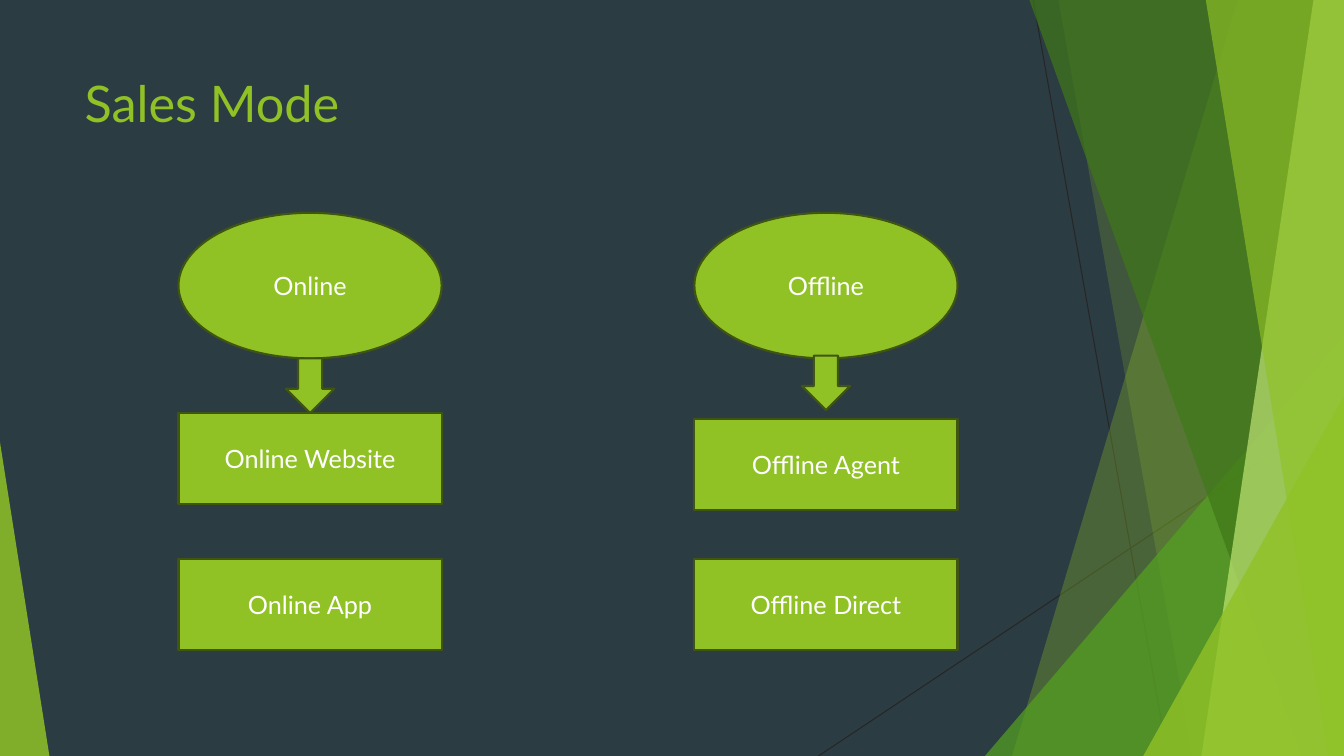
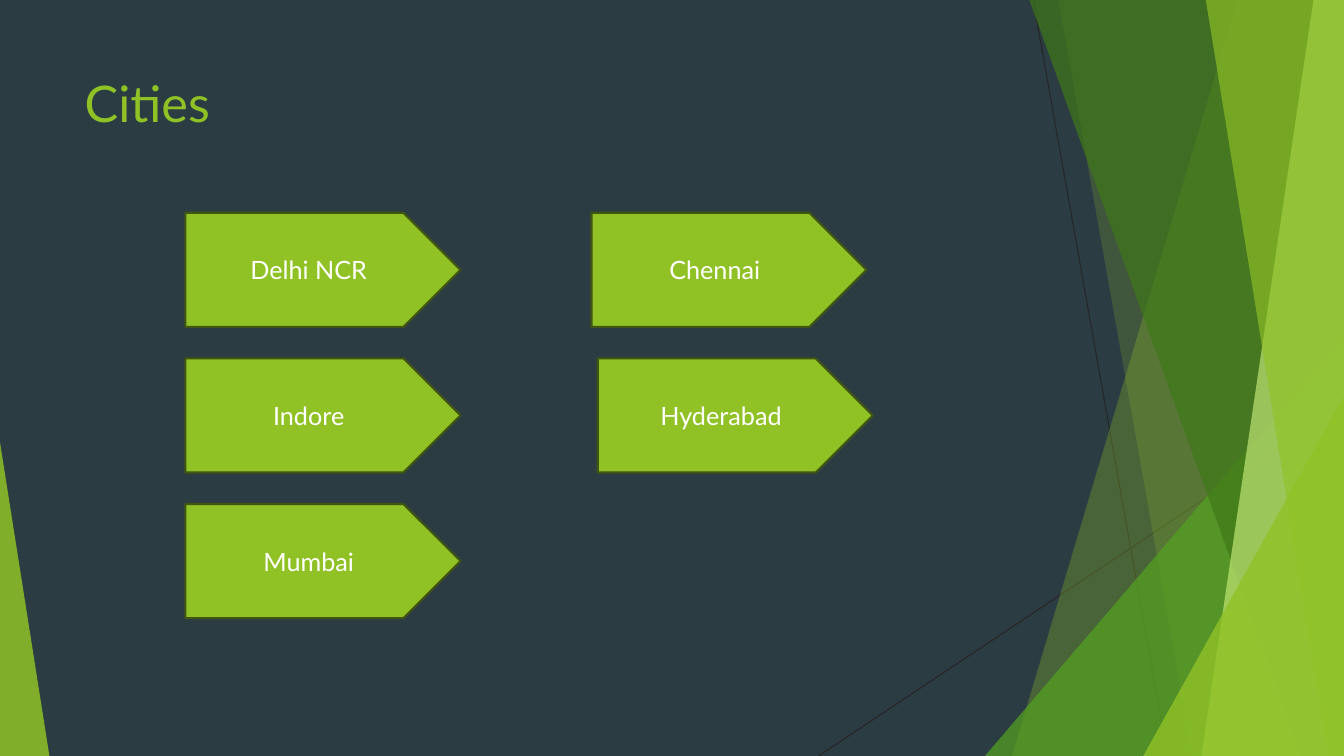
"""Build the sales mode and cities slides on a dark, green-faceted layout."""
import pptx
import pptx.dml.color
import pptx.enum.shapes
import pptx.enum.text
import pptx.oxml.ns
import pptx.util

Pt = pptx.util.Pt
SHAPE = pptx.enum.shapes.MSO_SHAPE
ANCHOR = pptx.enum.text.MSO_ANCHOR
ALIGN = pptx.enum.text.PP_ALIGN
qn = pptx.oxml.ns.qn

FONT = "Lato"
WIDTH, HEIGHT = 960, 540
COLORS = {
    "background": "2C3C43",
    "accent": "90C226",
    "outline": "3F5511",
    "leaf": "54A021",
    "forest": "3F7819",
    "lime": "C0E474",
    "hairline": "262626",
    "text": "FFFFFF",
}


def rgb(name):
    return pptx.dml.color.RGBColor.from_string(COLORS[name])


def add_run(p, text, size, color):
    r = p.add_run()
    r.text = text
    r.font.name = FONT
    r.font.size = Pt(size)
    r.font.color.rgb = rgb(color)


def tint(sp, color, opacity):
    sp.shadow.inherit = False
    sp.fill.solid()
    sp.fill.fore_color.rgb = rgb(color)
    sp.line.fill.background()
    clr = sp.element.spPr.find(qn("a:solidFill")).find(qn("a:srgbClr"))
    alpha = clr.makeelement(qn("a:alpha"), {"val": str(opacity * 1000)})
    clr.append(alpha)
    return sp


def add_hairline(s, x1, y1, x2, y2):
    line = s.shapes.add_connector(
        pptx.enum.shapes.MSO_CONNECTOR.STRAIGHT, Pt(x1), Pt(y1), Pt(x2), Pt(y2))
    line.line.color.rgb = rgb("hairline")
    line.line.width = Pt(0.75)
    spPr = line.element.spPr
    spPr.append(spPr.makeelement(qn("a:effectLst"), {}))
    return line


def add_band(s, top_x, bottom_x, color, opacity):
    builder = s.shapes.build_freeform(Pt(top_x), Pt(0))
    corners = [(WIDTH, 0), (WIDTH, HEIGHT), (bottom_x, HEIGHT)]
    builder.add_line_segments([(Pt(x), Pt(y)) for x, y in corners], close=True)
    return tint(builder.convert_to_shape(), color, opacity)


def add_wedge(s, left, top, width, peak, color, opacity):
    sp = s.shapes.add_shape(
        SHAPE.ISOSCELES_TRIANGLE, Pt(left), Pt(top), Pt(width), Pt(HEIGHT - top))
    sp.adjustments[0] = peak
    return tint(sp, color, opacity)


def style_layout(prs, layout, s):
    prs.slide_master.background.fill.solid()
    prs.slide_master.background.fill.fore_color.rgb = rgb("background")
    title = layout.placeholders[0]
    title.left, title.top = Pt(53.3), Pt(48)
    title.width, title.height = Pt(676.8), Pt(104)
    title.text_frame.vertical_anchor = ANCHOR.TOP
    facets = [
        add_hairline(s, 738, 0, 834, HEIGHT),
        add_hairline(s, WIDTH, 290, 584.6, HEIGHT),
        add_band(s, 884.2, 722.9, "accent", 30),
        add_band(s, 756, 851.8, "accent", 20),
        add_wedge(s, 703.5, 240, 256.5, 1, "leaf", 72),
        add_band(s, 735.3, 929.5, "forest", 70),
        add_band(s, 938.2, 858.2, "lime", 70),
        add_band(s, 861.3, 949, "accent", 65),
        add_wedge(s, 816.6, 283, 143.4, 1, "accent", 80),
        add_wedge(s, 0, 316, 35.3, 0, "accent", 85),
    ]
    for i, sp in enumerate(facets):
        sp.element.find(".//" + qn("p:cNvPr")).set("id", str(100 + i))
        layout.shapes.element.insert(2 + i, sp.element)


def set_title(s, text):
    p = s.shapes.title.text_frame.paragraphs[0]
    p.alignment = ALIGN.LEFT
    add_run(p, text, 36, "accent")


def add_node(s, kind, left, top, width, height, text=None):
    sp = s.shapes.add_shape(kind, Pt(left), Pt(top), Pt(width), Pt(height))
    sp.shadow.inherit = False
    sp.fill.solid()
    sp.fill.fore_color.rgb = rgb("accent")
    sp.line.color.rgb = rgb("outline")
    sp.line.width = Pt(1.5)
    if text:
        tf = sp.text_frame
        tf.word_wrap = True
        tf.vertical_anchor = ANCHOR.MIDDLE
        p = tf.paragraphs[0]
        p.alignment = ALIGN.CENTER
        add_run(p, text, 18, "text")


def add_channel(s, left, top, width, names, arrow_dy, first_dy):
    mode, first, second = names
    arrow_width = 34.5
    add_node(s, SHAPE.OVAL, left, top, width, 104, mode)
    add_node(s, SHAPE.RECTANGLE, left, top + first_dy, width, 65, first)
    add_node(s, SHAPE.RECTANGLE, left, top + 247, width, 65, second)
    add_node(s, SHAPE.DOWN_ARROW, left + (width - arrow_width) / 2,
             top + arrow_dy, arrow_width, 39)


def add_cities(s, left, top, cities):
    for name, dx, row in cities:
        add_node(s, SHAPE.PENTAGON, left + dx, top + row * 104, 196.5, 81.5, name)


def main():
    prs = pptx.Presentation()
    prs.slide_width, prs.slide_height = Pt(WIDTH), Pt(HEIGHT)
    layout = prs.slide_layouts[5]

    s = prs.slides.add_slide(layout)
    style_layout(prs, layout, s)
    set_title(s, "Sales Mode")
    add_channel(s, 127.5, 152, 188,
                ("Online", "Online Website", "Online App"), 104, 143)
    add_channel(s, 496, 152, 188,
                ("Offline", "Offline Agent", "Offline Direct"), 102, 147.5)

    s = prs.slides.add_slide(layout)
    set_title(s, "Cities")
    add_cities(s, 132.5, 152, [
        ("Delhi NCR", 0, 0), ("Indore", 0, 1), ("Mumbai", 0, 2),
        ("Chennai", 290, 0), ("Hyderabad", 294.5, 1)])

    prs.save("out.pptx")


if __name__ == "__main__":
    main()
